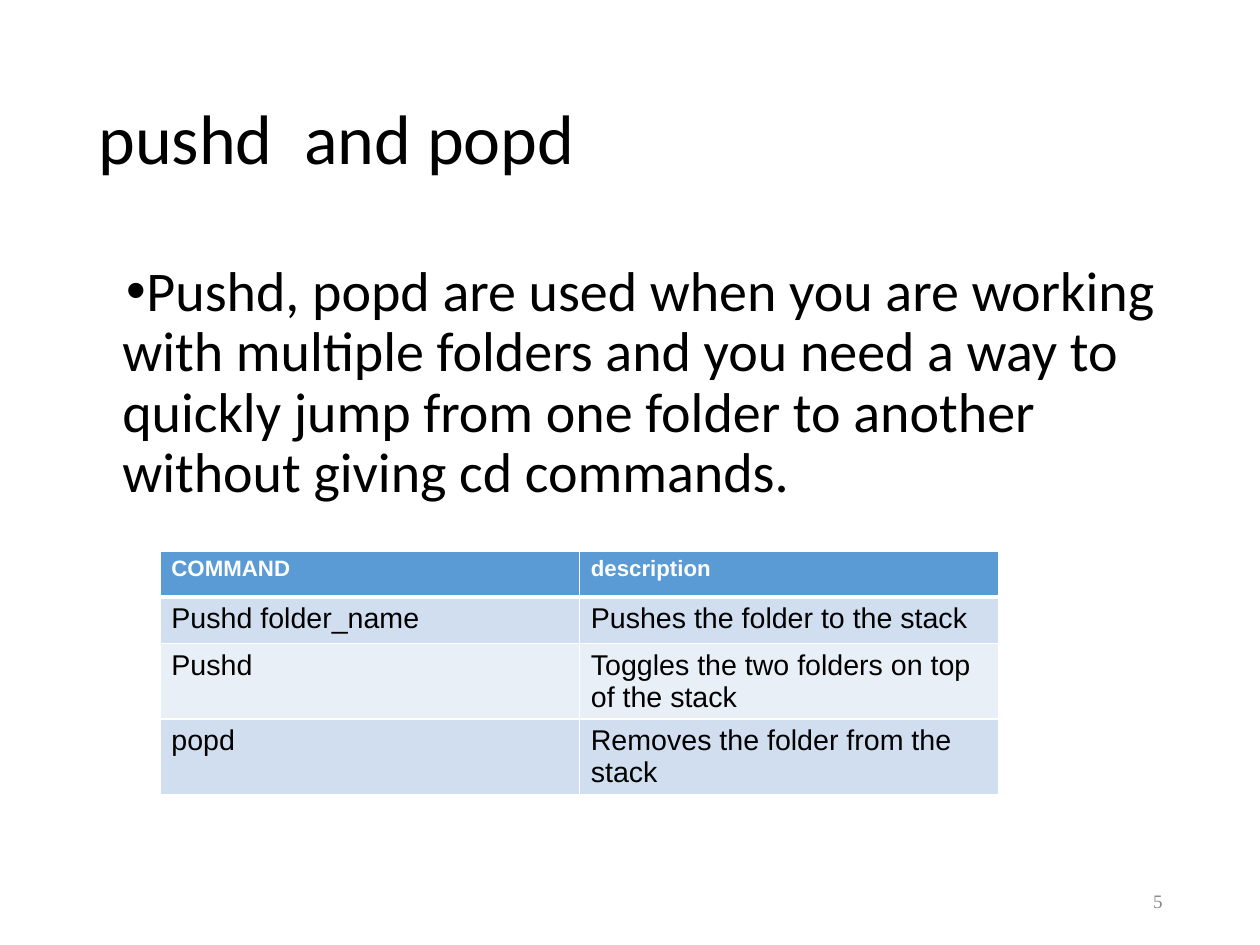
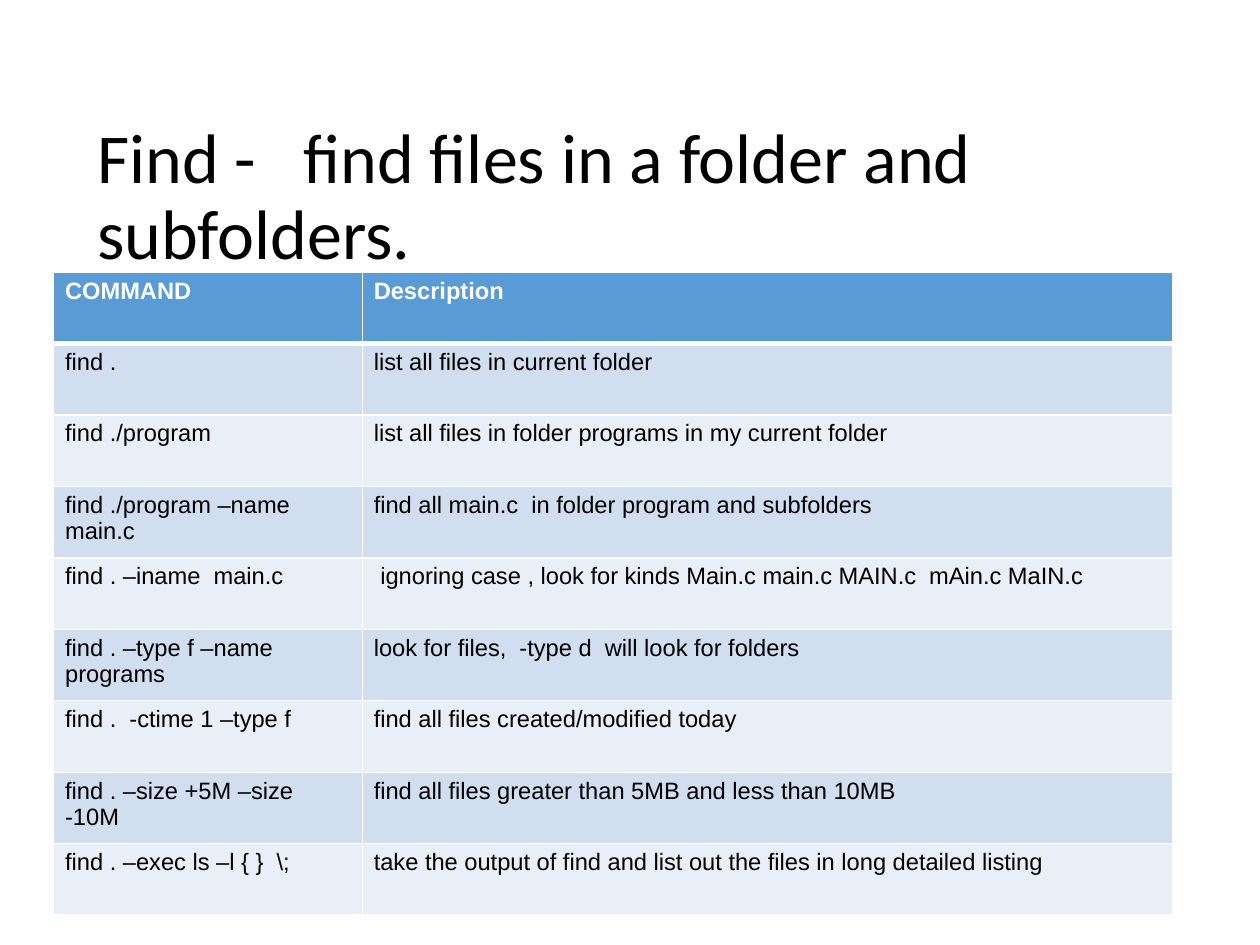
from lxml.etree import SubElement
from pptx import Presentation
from pptx.dml.color import RGBColor
from pptx.enum.text import MSO_ANCHOR as Anchor, MSO_AUTO_SIZE as AutoSize, PP_ALIGN as Align
from pptx.oxml import parse_xml
from pptx.oxml.ns import nsdecls, qn
from pptx.util import Cm, Inches, Pt

BLACK = RGBColor(0x00, 0x00, 0x00)
WHITE = RGBColor(0xFF, 0xFF, 0xFF)
GREY = RGBColor(0x88, 0x88, 0x88)
HEADER_BLUE = RGBColor(0x5B, 0x9B, 0xD5)
BANDS = [RGBColor(0xD0, 0xDE, 0xEF), RGBColor(0xE9, 0xEF, 0xF7)]

SLIDE_WIDTH, SLIDE_HEIGHT = Cm(28), Cm(21)
CONTENT_WIDTH = 9.51
TITLE_HEIGHT = 1.6
LINE_SPACING = 0.9
TITLE_ONLY, TITLE_AND_BODY = 5, 1

SLIDES = [
    {
        "title": "pushd  and popd",
        "title_place": (0.76, 0.44),
        "title_inset": 0.1,
        "body": "Pushd, popd are used when you are working with multiple folders and you need "
                "a way to quickly jump from one folder to another without giving cd commands.",
        "number": "5",
        "table": {
            "place": (1.4, 4.82), "columns": (3.67, 3.67), "height": 1.62,
            "header_size": 14, "cell_size": 18,
            "rows": [
                ("COMMAND", "description"),
                ("Pushd folder_name", "Pushes the folder to the stack"),
                ("Pushd", "Toggles the two folders on top of the stack"),
                ("popd", "Removes the folder from the stack"),
            ],
        },
    },
    {
        "title": "Find -   find files in a folder and subfolders.",
        "title_place": (0.75, 0.94),
        "title_inset": 0.05,
        "table": {
            "place": (0.47, 2.38), "columns": (2.7, 7.09), "height": 5.63,
            "header_size": 14.9, "cell_size": 14.9,
            "rows": [
                ("COMMAND", "Description"),
                ("find .", "list all files in current folder"),
                ("find ./program", "list all files in folder programs in my current folder"),
                ("find ./program –name main.c", "find all main.c  in folder program and subfolders"),
                ("find . –iname  main.c",
                 " ignoring case , look for kinds Main.c main.c MAIN.c  mAin.c MaIN.c"),
                ("find . –type f –name programs", "look for files,  -type d  will look for folders"),
                ("find .  -ctime 1 –type f", "find all files created/modified today"),
                ("find . –size +5M –size -10M", "find all files greater than 5MB and less than 10MB"),
                ("find . –exec ls –l { }  \\;",
                 "take the output of find and list out the files in long detailed listing"),
            ],
        },
    },
]


def write(frame, text, size, font, color, bold=False, align=Align.LEFT):
    frame.text = text
    para = frame.paragraphs[0]
    para.alignment = align
    for span in para.runs:
        span.font.size, span.font.name, span.font.bold = Pt(size), font, bold
        span.font.color.rgb = color
    return para


def arrange(box, left, top, width, height, anchor, inset):
    box.left, box.top, box.width, box.height = map(Inches, (left, top, width, height))
    frame = box.text_frame
    frame.word_wrap, frame.auto_size = True, AutoSize.NONE
    frame.vertical_anchor = anchor
    frame.margin_left = frame.margin_right = Inches(0.1)
    frame.margin_top = frame.margin_bottom = Inches(inset)
    return frame


def add_title(page, text, place, inset):
    frame = arrange(page.shapes.title, *place, CONTENT_WIDTH, TITLE_HEIGHT, Anchor.MIDDLE, inset)
    write(frame, text, 44.1, "Calibri", BLACK).line_spacing = LINE_SPACING


def add_body(page, text):
    frame = arrange(page.placeholders[1], 0.76, 2.2, CONTENT_WIDTH, 5.25, Anchor.TOP, 0.1)
    para = write(frame, text, 35.3, "Calibri", BLACK)
    para.line_spacing, para.space_before = LINE_SPACING, Pt(8.3)
    props = para._p.get_or_add_pPr()
    props.set("marL", str(Inches(0.21)))
    props.set("indent", str(Inches(0.04)))
    SubElement(props, qn("a:buFont")).set("typeface", "Arial")
    SubElement(props, qn("a:buChar")).set("char", "•")


def add_number(page, text):
    box = page.shapes.add_textbox(0, 0, 0, 0)
    frame = arrange(box, 7.79, 7.66, 2.48, 0.44, Anchor.MIDDLE, 0.05)
    write(frame, text, 12, "Times New Roman", GREY, align=Align.RIGHT)


def set_borders(cell, top, bottom):
    props = cell._tc.get_or_add_tcPr()
    weights = {"lnL": 1, "lnR": 1, "lnT": top, "lnB": bottom}
    for position, (side, weight) in enumerate(weights.items()):
        props.insert(position, parse_xml(
            f'<a:{side} {nsdecls("a")} w="{Pt(weight)}"><a:solidFill>'
            f'<a:srgbClr val="{WHITE}"/></a:solidFill></a:{side}>'))


def add_table(page, place, columns, height, header_size, cell_size, rows):
    size = sum(columns), height
    table = page.shapes.add_table(len(rows), len(columns), *map(Inches, place + size)).table
    for column, width in zip(table.columns, columns):
        column.width = Inches(width)
    for r, texts in enumerate(rows):
        header = r == 0
        for c, text in enumerate(texts):
            cell = table.cell(r, c)
            cell.fill.solid()
            cell.fill.fore_color.rgb = HEADER_BLUE if header else BANDS[(r - 1) % 2]
            set_borders(cell, top=3 if r == 1 else 1, bottom=3 if header else 1)
            write(cell.text_frame, text, header_size if header else cell_size, "Arial",
                  WHITE if header else BLACK, bold=header)


def main():
    deck = Presentation()
    deck.slide_width, deck.slide_height = SLIDE_WIDTH, SLIDE_HEIGHT
    for content in SLIDES:
        layout = TITLE_AND_BODY if "body" in content else TITLE_ONLY
        page = deck.slides.add_slide(deck.slide_layouts[layout])
        add_title(page, content["title"], content["title_place"], content["title_inset"])
        if "body" in content:
            add_body(page, content["body"])
        if "number" in content:
            add_number(page, content["number"])
        add_table(page, **content["table"])
    deck.save("out.pptx")


if __name__ == "__main__":
    main()
